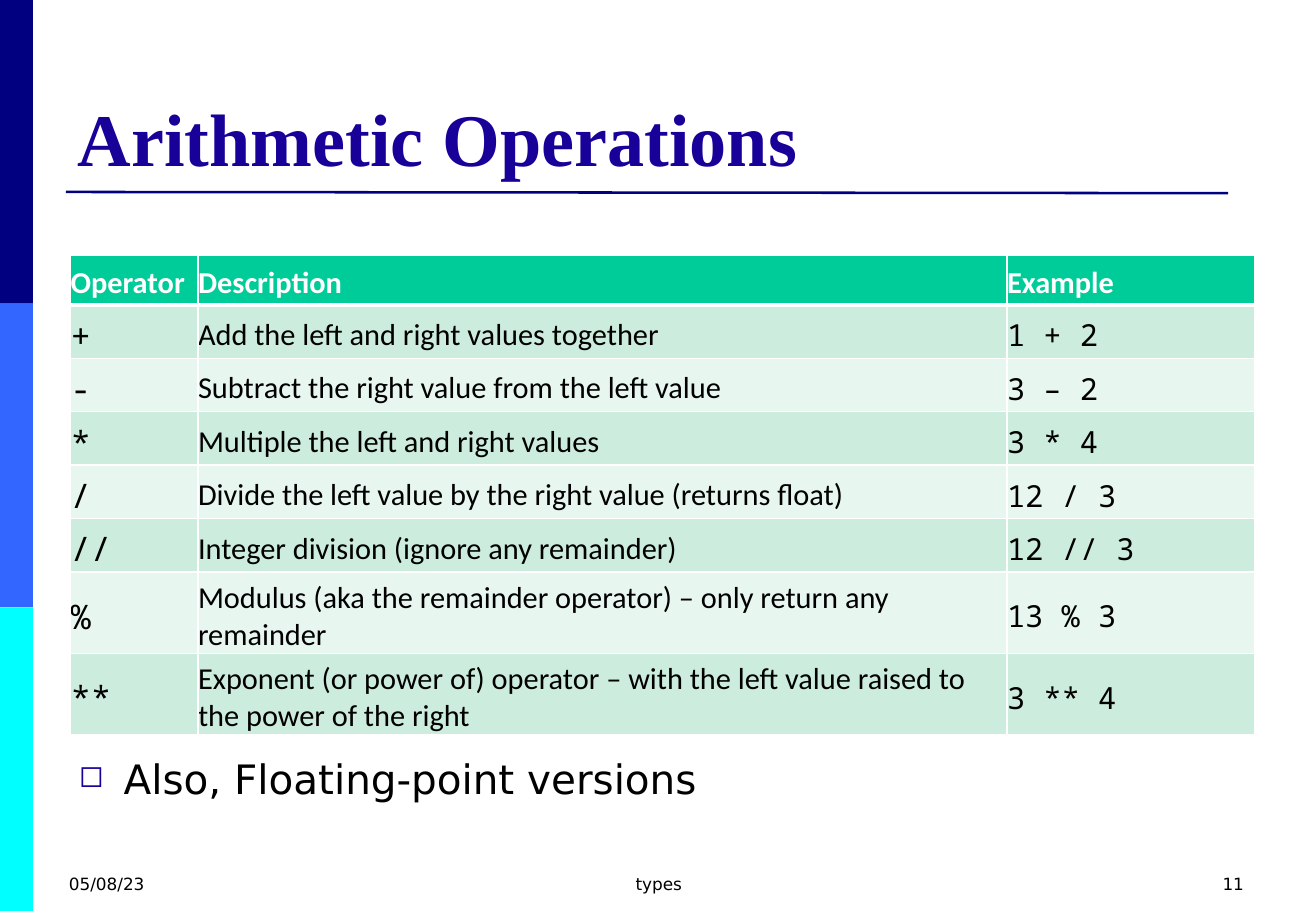
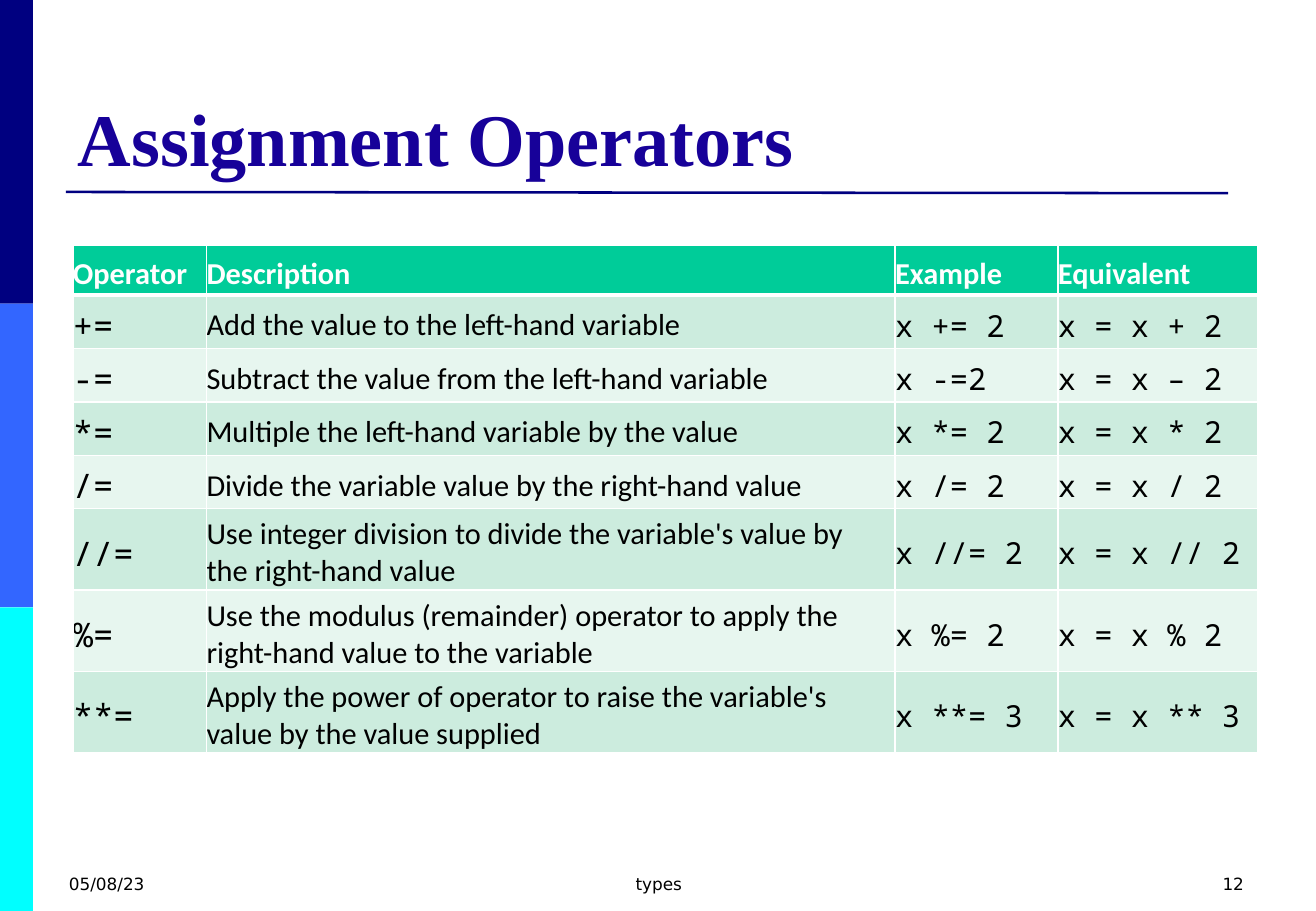
from dataclasses import dataclass

from lxml import etree
from pptx import Presentation
from pptx.dml.color import RGBColor
from pptx.enum.shapes import MSO_CONNECTOR, MSO_SHAPE
from pptx.enum.text import MSO_ANCHOR, MSO_AUTO_SIZE, PP_ALIGN
from pptx.oxml.ns import qn
from pptx.util import Pt

LEFT, CENTER, RIGHT = PP_ALIGN.LEFT, PP_ALIGN.CENTER, PP_ALIGN.RIGHT
TOP, MIDDLE, BOTTOM = MSO_ANCHOR.TOP, MSO_ANCHOR.MIDDLE, MSO_ANCHOR.BOTTOM
RECTANGLE, STRAIGHT = MSO_SHAPE.RECTANGLE, MSO_CONNECTOR.STRAIGHT
NO_AUTO_SIZE = MSO_AUTO_SIZE.NONE

# Shared look
PAGE_WIDTH, PAGE_HEIGHT = 780, 540
TITLE_ONLY = 5
SERIF, SANS, MONO, TABLE_FONT = "Times New Roman", "DejaVu Sans", "Noto Sans Mono", "Calibri"
BLACK, WHITE, NAVY, INDIGO = "000000", "FFFFFF", "000080", "170199"
BAND_COLORS = (NAVY, "3366FF", "00FFFF")
BAND_WIDTH = 19.6
HEADER_FILL, ROW_FILLS = "00CC99", ("CCECDE", "E7F6EF")
ROW_HEIGHT = 29.5
THIN, THICK = 1, 3


@dataclass(frozen=True)
class Box:
    left: float
    top: float
    width: float
    height: float

    def lengths(self) -> tuple:
        return Pt(self.left), Pt(self.top), Pt(self.width), Pt(self.height)


@dataclass(frozen=True)
class TextStyle:
    font: str
    size: float
    color: str = BLACK
    bold: bool = False


@dataclass(frozen=True)
class OperatorTable:
    left: float
    top: float
    widths: tuple
    rows: tuple


@dataclass(frozen=True)
class Page:
    title: str
    number: int
    table: OperatorTable
    bullet: str = ""


TITLE_BOX = Box(38.9, 21.6, 702, 89.3)
BULLET_BOX = Box(39.6, 443.5, 702, 55)
DATE_BOX = Box(33.8, 514, 182, 26)
FOOTER_BOX = Box(267, 514, 247, 26)
NUMBER_BOX = Box(562.3, 514, 182, 26)

TITLE_STYLE = TextStyle(SERIF, 44, INDIGO, True)
FOOTER_STYLE = TextStyle(SANS, 10)
BULLET_STYLE = TextStyle(SANS, 24)
HEADER_STYLE = TextStyle(TABLE_FONT, 18, WHITE, True)
OPERATOR_STYLE = TextStyle(MONO, 20)
DESCRIPTION_STYLE = TextStyle(TABLE_FONT, 18)
CODE_STYLE = TextStyle(MONO, 18)
COLUMN_STYLES = (OPERATOR_STYLE, DESCRIPTION_STYLE, CODE_STYLE, CODE_STYLE)

PAGES = (
    Page("Arithmetic Operations", 11, OperatorTable(41.8, 151.2, (75.6, 479.5, 146.9), (
        ("Operator", "Description", "Example"),
        ("+", "Add the left and right values together", "1 + 2"),
        ("-", "Subtract the right value from the left value", "3 – 2"),
        ("*", "Multiple the left and right values", "3 * 4"),
        ("/", "Divide the left value by the right value (returns float)", "12 / 3"),
        ("//", "Integer division (ignore any remainder)", "12 // 3"),
        ("%", "Modulus (aka the remainder operator) – only return any remainder", "13 % 3"),
        ("**", "Exponent (or power of) operator – with the left value raised to "
               "the power of the right", "3 ** 4"),
    )), "Also, Floating-point versions"),
    Page("Assignment Operators", 12, OperatorTable(43.2, 145.4, (79.2, 408.2, 96.5, 118.1), (
        ("Operator", "Description", "Example", "Equivalent"),
        ("+=", "Add the value to the left-hand variable", "x += 2", "x = x + 2"),
        ("-=", "Subtract the value from the left-hand variable", "x -=2", "x = x – 2"),
        ("*=", "Multiple the left-hand variable by the value", "x *= 2", "x = x * 2"),
        ("/=", "Divide the variable value by the right-hand value", "x /= 2", "x = x / 2"),
        ("//=", "Use integer division to divide the variable's value by "
                "the right-hand value", "x //= 2", "x = x // 2"),
        ("%=", "Use the modulus (remainder) operator to apply the "
               "right-hand value to the variable", "x %= 2", "x = x % 2"),
        ("**=", "Apply the power of operator to raise the variable's "
                "value by the value supplied", "x **= 3", "x = x ** 3"),
    ))),
)


def color(hex_code: str) -> RGBColor:
    return RGBColor.from_string(hex_code)


def format_para(para, style: TextStyle, align=LEFT) -> None:
    para.alignment = align
    font = para.font
    font.name, font.size, font.bold = style.font, Pt(style.size), style.bold
    font.color.rgb = color(style.color)


def add_text(slide, box: Box, text: str, style: TextStyle, align=LEFT):
    frame = slide.shapes.add_textbox(*box.lengths()).text_frame
    frame.word_wrap = True
    frame.vertical_anchor = TOP
    para = frame.paragraphs[0]
    para.text = text
    format_para(para, style, align)
    return para


def add_bullet(slide, text: str) -> None:
    para = add_text(slide, BULLET_BOX, text, BULLET_STYLE)
    properties = para._p.get_or_add_pPr()
    indent = Pt(26.6)
    properties.set("marL", str(indent))
    properties.set("indent", str(-indent))
    # Bullet elements come before the default run properties
    bullet_color = etree.Element(qn("a:buClr"))
    etree.SubElement(bullet_color, qn("a:srgbClr"), val=INDIGO)
    bullet_size = etree.Element(qn("a:buSzPct"), val="75000")
    bullet_char = etree.Element(qn("a:buChar"), char="◻")
    for index, element in enumerate((bullet_color, bullet_size, bullet_char)):
        properties.insert(index, element)


def add_frame(slide) -> None:
    # Side bands
    band_height = PAGE_HEIGHT / len(BAND_COLORS)
    for index, fill in enumerate(BAND_COLORS):
        box = Box(0, index * band_height, BAND_WIDTH, band_height)
        band = slide.shapes.add_shape(RECTANGLE, *box.lengths())
        band.shadow.inherit = False
        band.fill.solid()
        band.fill.fore_color.rgb = color(fill)
        band.line.fill.background()
    # Rule under the title
    rule = slide.shapes.add_connector(STRAIGHT, Pt(39), Pt(113.8), Pt(728), Pt(114.5))
    rule.line.color.rgb = color(NAVY)
    rule.line.width = Pt(1.5)
    etree.SubElement(rule._element.spPr, qn("a:effectLst"))


def format_title(slide, text: str) -> None:
    title = slide.shapes.title
    title.left, title.top, title.width, title.height = TITLE_BOX.lengths()
    frame = title.text_frame
    frame.text = text
    frame.word_wrap = True
    frame.auto_size = NO_AUTO_SIZE
    frame.vertical_anchor = BOTTOM
    format_para(frame.paragraphs[0], TITLE_STYLE)


def add_borders(cell, top: float, bottom: float) -> None:
    properties = cell._tc.get_or_add_tcPr()
    for side, width in (("L", THIN), ("R", THIN), ("T", top), ("B", bottom)):
        line = etree.SubElement(properties, qn(f"a:ln{side}"), w=str(Pt(width)))
        fill = etree.SubElement(line, qn("a:solidFill"))
        etree.SubElement(fill, qn("a:srgbClr"), val=WHITE)


def fill_cell(cell, text: str, row: int, column: int) -> None:
    is_header = row == 0
    add_borders(cell, THICK if row == 1 else THIN, THICK if is_header else THIN)
    cell.fill.solid()
    cell.fill.fore_color.rgb = color(HEADER_FILL if is_header else ROW_FILLS[(row - 1) % 2])
    cell.margin_left = cell.margin_bottom = Pt(0)
    cell.margin_top = cell.margin_right = Pt(4.3)
    cell.vertical_anchor = MIDDLE
    para = cell.text_frame.paragraphs[0]
    para.text = text
    format_para(para, HEADER_STYLE if is_header else COLUMN_STYLES[column])


def add_operator_table(slide, content: OperatorTable) -> None:
    row_count = len(content.rows)
    box = Box(content.left, content.top, sum(content.widths), row_count * ROW_HEIGHT)
    table = slide.shapes.add_table(row_count, len(content.widths), *box.lengths()).table
    for column, width in enumerate(content.widths):
        table.columns[column].width = Pt(width)
    for row, texts in enumerate(content.rows):
        table.rows[row].height = Pt(ROW_HEIGHT)
        for column, text in enumerate(texts):
            fill_cell(table.cell(row, column), text, row, column)


def add_page(deck, page: Page) -> None:
    slide = deck.slides.add_slide(deck.slide_layouts[TITLE_ONLY])
    add_frame(slide)
    format_title(slide, page.title)
    add_operator_table(slide, page.table)
    # Footer
    add_text(slide, DATE_BOX, "05/08/23", FOOTER_STYLE)
    add_text(slide, FOOTER_BOX, "types", FOOTER_STYLE, CENTER)
    add_text(slide, NUMBER_BOX, str(page.number), FOOTER_STYLE, RIGHT)
    if page.bullet:
        add_bullet(slide, page.bullet)


def main() -> None:
    deck = Presentation()
    deck.slide_width, deck.slide_height = Pt(PAGE_WIDTH), Pt(PAGE_HEIGHT)
    for page in PAGES:
        add_page(deck, page)
    deck.save("out.pptx")


if __name__ == "__main__":
    main()
